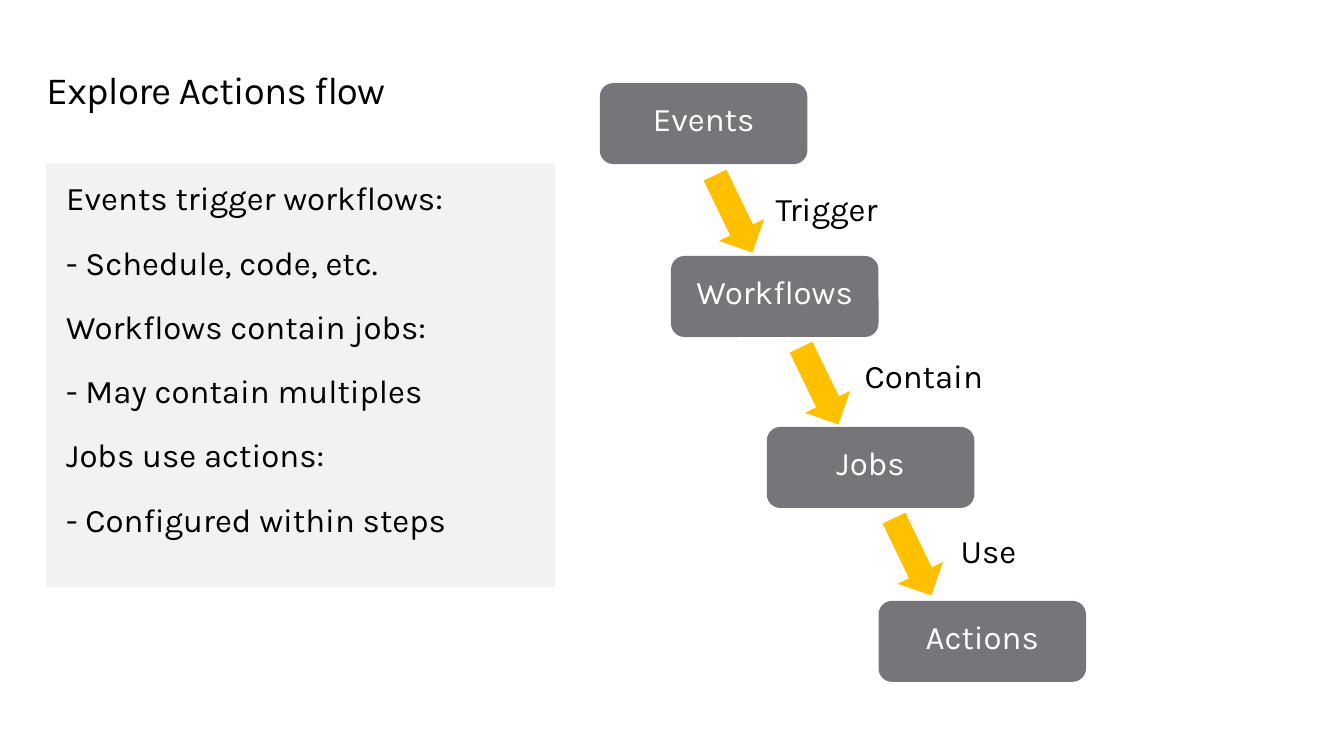
from dataclasses import dataclass

from lxml.etree import SubElement
from pptx import Presentation
from pptx.dml.color import RGBColor
from pptx.enum.shapes import MSO_SHAPE
from pptx.enum.text import MSO_ANCHOR, MSO_AUTO_SIZE, PP_ALIGN
from pptx.oxml.ns import qn
from pptx.util import Inches, Pt


@dataclass(frozen=True)
class Theme:
    """Colours, font and type sizes of the slide."""
    font: str = "Karla"
    text: str = "000000"
    panel: str = "F2F2F2"
    box: str = "75757A"
    box_text: str = "FFFFFF"
    arrow: str = "FFC000"
    title_size: int = 28
    body_size: int = 24


THEME = Theme()
TITLE = "Explore Actions flow"
POINTS = [
    "Events trigger workflows:",
    "- Schedule, code, etc.",
    "Workflows contain jobs:",
    "- May contain multiples",
    "Jobs use actions:",
    "- Configured within steps",
]
BOX_SIZE = (2.1, 0.82)
ARROW_SIZE = (0.87, 0.51)
ARROW_ANGLE = 64.2
LABEL_HEIGHT = 0.69
STAGES = [
    ("Events", 6.07, 0.84),
    ("Workflows", 6.79, 2.59),
    ("Jobs", 7.76, 4.32),
    ("Actions", 8.89, 6.08),
]
ARROWS = [(6.99, 1.91), (7.86, 3.65), (8.8, 5.38)]
LABELS = [
    ("Trigger", 7.65, 1.79, 1.47),
    ("Contain", 8.55, 3.48, 1.6),
    ("Use", 9.52, 5.25, 1.47),
]


def set_all(obj, values):
    """Set every attribute named in a dict of format values."""
    for name, value in values.items():
        setattr(obj, name, value)


def place(sp, x, y, w, h):
    """Move and size a shape in inches."""
    set_all(sp, {"left": Inches(x), "top": Inches(y),
                 "width": Inches(w), "height": Inches(h)})


def paint(sp, color):
    """Give a shape a solid fill."""
    sp.fill.solid()
    sp.fill.fore_color.rgb = RGBColor.from_string(color)


def write(sp, lines, size, color, inset, **para):
    """Fill a shape with formatted paragraphs and return its text frame."""
    tf = sp.text_frame
    dx, dy = (Inches(v) for v in inset)
    set_all(tf, {"word_wrap": True, "auto_size": MSO_AUTO_SIZE.NONE,
                 "vertical_anchor": MSO_ANCHOR.TOP,
                 "margin_left": dx, "margin_right": dx,
                 "margin_top": dy, "margin_bottom": dy})
    for i, line in enumerate(lines):
        p = tf.add_paragraph() if i else tf.paragraphs[0]
        set_all(p, {"alignment": PP_ALIGN.LEFT, **para})
        r = p.add_run()
        r.text = line
        set_all(r.font, {"name": THEME.font, "size": Pt(size)})
        r.font.color.rgb = RGBColor.from_string(color)
    return tf


def add_title(s):
    """Format the title placeholder."""
    sp = s.shapes.title
    place(sp, 0.47, 0.69, 12.65, 0.45)
    tf = write(sp, [TITLE], THEME.title_size, THEME.text, (0, 0),
               line_spacing=Pt(32))
    tf.paragraphs[0].runs[0].font._element.set("spc", "-50")


def add_points(s):
    """Turn the body placeholder into the grey panel of points."""
    sp = s.placeholders[1]
    place(sp, 0.47, 1.65, 5.15, 4.29)
    paint(sp, THEME.panel)
    tf = write(sp, POINTS, THEME.body_size, THEME.text, (0.2, 0.15),
               space_before=Pt(18))
    for p in tf.paragraphs:
        pPr = p._p.get_or_add_pPr()
        pPr.set("marL", "0")
        pPr.set("indent", "0")
        SubElement(pPr, qn("a:buNone"))


def add_block(s, kind, color, x, y, size):
    """Add a filled preset shape without outline or shadow."""
    sp = s.shapes.add_shape(kind, *(Inches(v) for v in (x, y, *size)))
    paint(sp, color)
    sp.line.fill.background()
    sp.shadow.inherit = False
    return sp


def add_stage(s, name, x, y):
    """Add one rounded box of the flow."""
    sp = add_block(s, MSO_SHAPE.ROUNDED_RECTANGLE, THEME.box, x, y, BOX_SIZE)
    write(sp, [name], THEME.body_size, THEME.box_text, (0.2, 0.16),
          alignment=PP_ALIGN.CENTER, line_spacing=0.9)


def add_arrow(s, x, y):
    """Add one slanted block arrow."""
    sp = add_block(s, MSO_SHAPE.RIGHT_ARROW, THEME.arrow, x, y, ARROW_SIZE)
    sp.rotation = ARROW_ANGLE


def add_label(s, text, x, y, w):
    """Add the verb beside an arrow."""
    sp = s.shapes.add_textbox(*(Inches(v) for v in (x, y, w, LABEL_HEIGHT)))
    write(sp, [text], THEME.body_size, THEME.text, (0.2, 0.16),
          line_spacing=0.9, space_after=Pt(6))


def main():
    """Build and save the slide."""
    prs = Presentation()
    set_all(prs, {"slide_width": Inches(13.6), "slide_height": Inches(7.65)})
    s = prs.slides.add_slide(prs.slide_layouts[1])
    add_title(s)
    add_points(s)
    for add, items in ((add_stage, STAGES), (add_arrow, ARROWS),
                       (add_label, LABELS)):
        for item in items:
            add(s, *item)
    prs.save("out.pptx")


if __name__ == "__main__":
    main()
